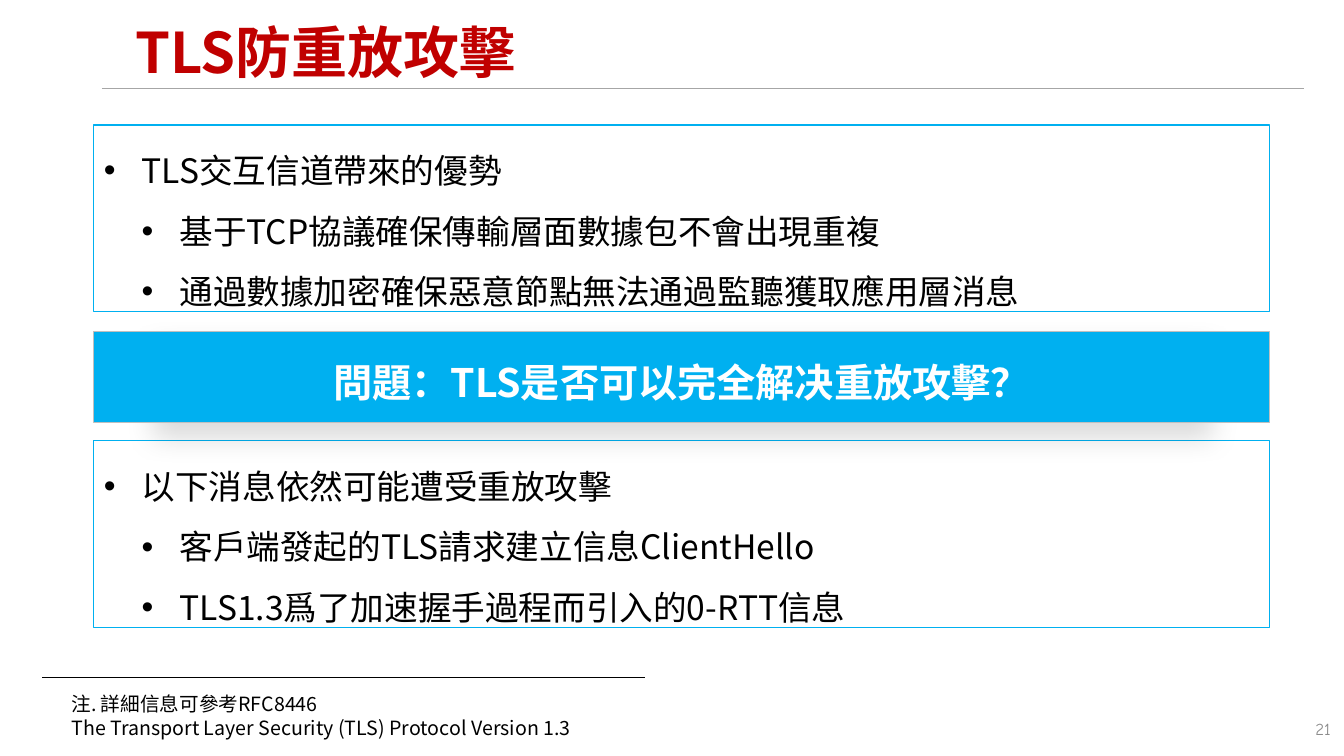
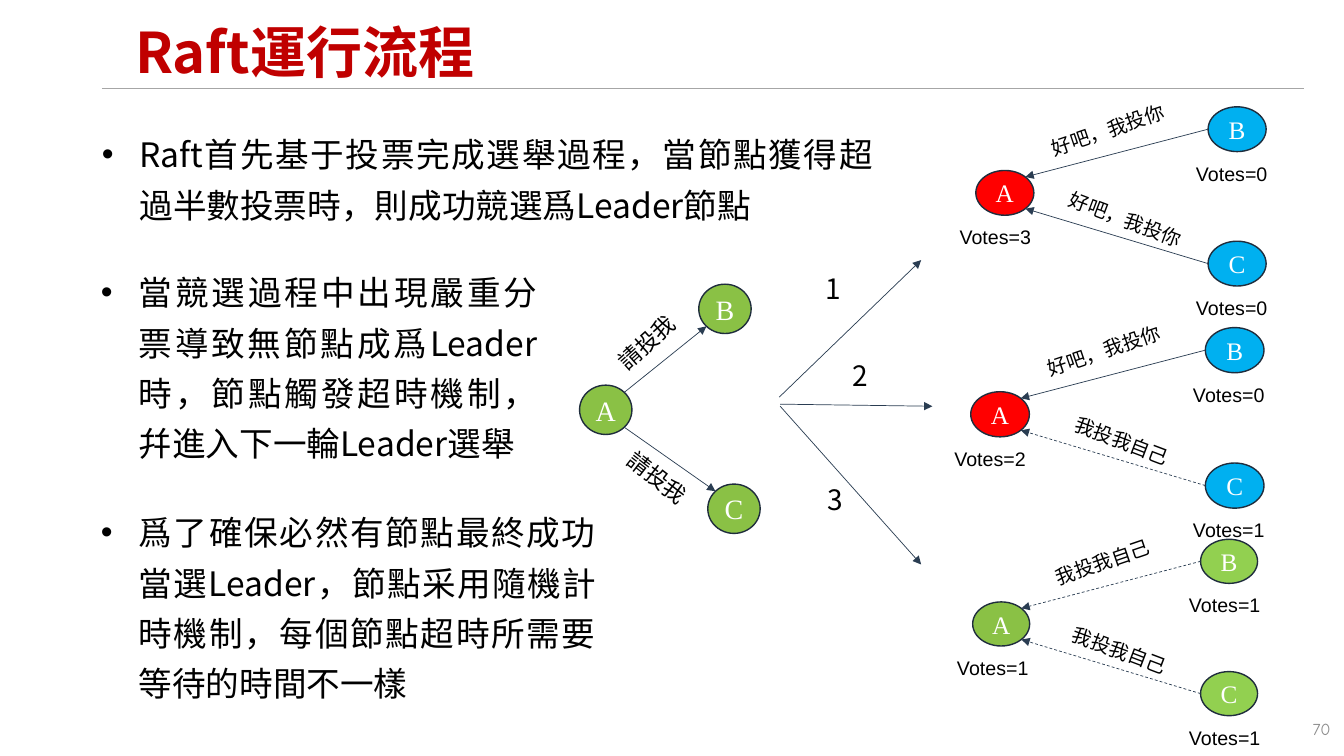
from dataclasses import dataclass

from pptx import Presentation
from pptx.dml.color import RGBColor as Rgb
from pptx.enum.dml import MSO_LINE as Dash
from pptx.enum.shapes import MSO_CONNECTOR as Conn, MSO_SHAPE as Kind
from pptx.enum.text import MSO_ANCHOR as Anchor, MSO_AUTO_SIZE as Fit, PP_ALIGN as Align
from pptx.oxml.ns import qn
from pptx.oxml.xmlchemy import OxmlElement as Node
from pptx.util import Pt


@dataclass(frozen=True)
class Theme:
    # Fonts
    sans: str = "Noto Sans CJK SC"
    serif: str = "Times New Roman"
    plain: str = "Arial"
    page: str = "Comic Neue"
    # Colours
    red: str = "C00000"
    black: str = "000000"
    white: str = "FFFFFF"
    blue: str = "00B0F0"
    green: str = "8AC145"
    lime: str = "92D050"
    lead: str = "FF0000"
    rim: str = "1F2D3D"
    arrow: str = "2A3D52"
    rule: str = "A6A6A6"
    edge: str = "BFBFBF"
    grey: str = "8C8C8C"
    # Type sizes
    title: int = 40
    ask: int = 28
    body: int = 24
    big: int = 20
    mid: int = 18
    call: int = 16
    note: int = 14
    foot: int = 12


T = Theme()
NEAR, FAR = 0.146, 0.854  # diagonal points of an ellipse, as shares of its box


# ---- Helpers ----
def part(box, fx, fy, fw=0, fh=0):
    """Box at shares of another box."""
    x, y, w, h = box
    return x + fx * w, y + fy * h, fw * w, fh * h


def spot(box, fx, fy):
    return part(box, fx, fy)[:2]


def move(shape, box):
    shape.left, shape.top, shape.width, shape.height = map(Pt, box)


def bullet(para, left, hang=27):
    props = para._p.get_or_add_pPr()
    props.set("marL", str(Pt(left)))
    props.set("indent", str(-Pt(hang)))
    for tag, key, value in (("a:buFont", "typeface", T.plain), ("a:buChar", "char", "•")):
        mark = Node(tag)
        mark.set(key, value)
        props.append(mark)


def write(frame, text, size=T.body, font=T.sans, color=T.black, bold=False,
          align=Align.LEFT, anchor=Anchor.TOP, space=1.0, marks=None, inset=None):
    """Fill a frame; a list gives paragraphs, marks their bullet levels."""
    frame.word_wrap = True
    frame.auto_size = Fit.NONE
    frame.vertical_anchor = anchor
    if inset is not None:
        frame.margin_left = frame.margin_right = Pt(inset)
        frame.margin_top = frame.margin_bottom = Pt(inset)
    lines = [text] if isinstance(text, str) else text
    for i, line in enumerate(lines):
        para = frame.add_paragraph() if i else frame.paragraphs[0]
        if marks:
            para.level = marks[i]
            bullet(para, 27 * (marks[i] + 1))
        para.alignment = align
        para.line_spacing = space
        para.space_before = para.space_after = Pt(0)
        run = para.add_run()
        run.text = line
        run.font.size, run.font.bold = Pt(size), bold
        run.font.color.rgb = Rgb.from_string(color)
        run.font.name = font
        east = Node("a:ea")
        east.set("typeface", font)
        run._r.rPr.find(qn("a:latin")).addnext(east)


def label(slide, box, text, turn=0, **fmt):
    shape = slide.shapes.add_textbox(*map(Pt, box))
    shape.rotation = turn
    write(shape.text_frame, text, **fmt)


def block(slide, kind, box, fill, line, width, text, **fmt):
    shape = slide.shapes.add_shape(kind, *map(Pt, box))
    shape.shadow.inherit = False
    shape.fill.solid()
    shape.fill.fore_color.rgb = Rgb.from_string(fill)
    shape.line.color.rgb = Rgb.from_string(line)
    shape.line.width = Pt(width)
    write(shape.text_frame, text, color=T.white, align=Align.CENTER,
          anchor=Anchor.MIDDLE, **fmt)
    return shape


def stroke(slide, start, end, color, width=1.0, tip=False, dash=False):
    link = slide.shapes.add_connector(Conn.STRAIGHT, *map(Pt, start + end))
    link.line.color.rgb = Rgb.from_string(color)
    link.line.width = Pt(width)
    if dash:
        link.line.dash_style = Dash.DASH
    if tip:
        tail = Node("a:tailEnd")
        tail.set("type", "triangle")
        link.line._get_or_add_ln().append(tail)
    link._element.spPr.append(Node("a:effectLst"))


def arrow(slide, start, end, dash=False):
    stroke(slide, start, end, T.arrow, 0.5, tip=True, dash=dash)


# ---- Shared slide frame ----
def start(deck, layout, title, page):
    slide = deck.slides.add_slide(deck.slide_layouts[layout])
    stroke(slide, (72.7, 63.4), (931.7, 63.4), T.rule)
    move(slide.shapes.title, (89.3, 10.8, 805, 56.9))
    write(slide.shapes.title.text_frame, title, size=T.title, color=T.red,
          bold=True, anchor=Anchor.MIDDLE, space=0.9)
    label(slide, (733.7, 509.8, 223.9, 28.8), page, size=T.foot, font=T.page,
          color=T.grey, align=Align.RIGHT)
    return slide


def points(slide, idx, box, lines, marks, space, frame=False):
    """Bulleted list in a body placeholder."""
    body = slide.placeholders[idx]
    move(body, box)
    if frame:
        body.line.color.rgb = Rgb.from_string(T.blue)
        body.line.width = Pt(0.75)
    write(body.text_frame, lines, align=Align.JUSTIFY, marks=marks, space=space)


def prune(slide):
    for hold in list(slide.placeholders):
        if not hold.text_frame.text:
            hold._element.getparent().remove(hold._element)


# ---- TLS slide ----
def banner(slide, box, text):
    bar = block(slide, Kind.RECTANGLE, box, T.blue, T.edge, 0.5, text,
                size=T.ask, bold=True, space=1.2)
    cast = Node("a:outerShdw")
    for key, value in (("blurRad", Pt(20)), ("dist", Pt(10)), ("dir", 5400000),
                       ("sx", 90000), ("algn", "ctr"), ("rotWithShape", 0)):
        cast.set(key, str(value))
    tint, alpha = Node("a:srgbClr"), Node("a:alpha")
    tint.set("val", T.black)
    alpha.set("val", "15000")
    tint.append(alpha)
    cast.append(tint)
    bar._element.spPr.find(qn("a:effectLst")).append(cast)


def source(slide, box, lines):
    x, y, w, h = box
    stroke(slide, (x, y), (x + w, y), T.black)
    label(slide, (x + 13.7, y + 7.2, w, h), lines, size=T.note, align=Align.JUSTIFY)


def replay(deck):
    slide = start(deck, 3, "TLS防重放攻擊", "21")
    lists = (
        (89.3, ["TLS交互信道帶來的優勢",
                "基于TCP協議確保傳輸層面數據包不會出現重複",
                "通過數據加密確保惡意節點無法通過監聽獲取應用層消息"]),
        (314.8, ["以下消息依然可能遭受重放攻擊",
                 "客戶端發起的TLS請求建立信息ClientHello",
                 "TLS1.3爲了加速握手過程而引入的0-RTT信息"]),
    )
    for idx, (top, lines) in enumerate(lists, 1):
        points(slide, idx, (67, top, 839.5, 133.2), lines, (0, 1, 1), 1.5, frame=True)
    banner(slide, (67, 236.9, 839.5, 64.8), "問題：TLS是否可以完全解决重放攻擊？")
    source(slide, (30.2, 483.8, 430.6, 41),
           ["注. 詳細信息可參考RFC8446",
            "The Transport Layer Security (TLS) Protocol Version 1.3"])


# ---- Raft slide ----
def voter(slide, box, name, fill, size):
    block(slide, Kind.OVAL, box, fill, T.rim, 1, name, size=size,
          font=T.serif, inset=0)


def appeal(slide, box):
    """Node A asks B and C for their votes."""
    a, b, c = (part(box, fx, fy, 0.29, 0.198)
               for fx, fy in ((0, 0.405), (0.66, 0), (0.71, 0.802)))
    for name, cell in zip("ABC", (a, b, c)):
        voter(slide, cell, name, T.green, T.big)
    arrow(slide, spot(a, FAR, NEAR), spot(b, NEAR, FAR))
    arrow(slide, spot(a, FAR, FAR), spot(c, NEAR, NEAR))
    for fx, fy, turn in ((0.1, 0.158, 318.1), (0.156, 0.7, 37.9)):
        label(slide, part(box, fx, fy, 0.547, 0.154), "請投我", turn,
              size=T.call, align=Align.CENTER)


def result(slide, box, fills, votes, yes):
    """Replies of B and C to A; yes tells who votes for A."""
    a, b, c = (part(box, fx, fy, 0.2, 0.25)
               for fx, fy in ((0, 0.355), (0.8, 0), (0.8, 0.75)))
    shifts = (-0.45, -0.38, -0.38)
    tints = (fills[0], fills[1], fills[1])
    for name, cell, tint, count, shift in zip("ABC", (a, b, c), tints, votes, shifts):
        voter(slide, cell, name, tint, T.mid)
        label(slide, part(cell, shift, 1.11, 1.75, 0.78), f"Votes={count}",
              size=T.note, font=T.plain)
    replies = ((b, NEAR, 0.156, 0.034, 341.2), (c, FAR, 0.215, 0.534, 20.7))
    for (cell, end, fx, fy, turn), agree in zip(replies, yes):
        arrow(slide, spot(cell, 0, 0.5), spot(a, FAR, end), dash=not agree)
        label(slide, part(box, fx, fy, 0.6, 0.197),
              "好吧，我投你" if agree else "我投我自己", turn,
              size=T.note, align=Align.CENTER)


def fork(slide):
    """Numbered arrows to the three outcomes."""
    ways = (
        ((556.6, 283.7), (658, 185.8), (582.5, 190.1)),
        ((557.3, 288.7), (666, 290.2), (601.9, 252.7)),
        ((557.3, 290.2), (658, 403.2), (583.9, 341.3)),
    )
    for num, (tail, head, at) in enumerate(ways, 1):
        arrow(slide, tail, head)
        label(slide, at + (29.5, 32.4), str(num), size=T.big)


def raft(deck):
    slide = start(deck, 4, "Raft運行流程", "70")
    lists = (
        ((65.5, 85, 565.2, 76.3),
         "Raft首先基于投票完成選舉過程，當節點獲得超過半數投票時，則成功競選爲Leader節點"),
        ((64.8, 183.6, 326.2, 149),
         "當競選過程中出現嚴重分票導致無節點成爲Leader時，節點觸發超時機制，幷進入下一輪Leader選舉"),
        ((64.8, 355, 367.9, 149),
         "爲了確保必然有節點最終成功當選Leader，節點采用隨機計時機制，每個節點超時所需要等待的時間不一樣"),
    )
    for idx, (box, text) in enumerate(lists, 1):
        points(slide, idx, box, [text], (0,), Pt(36))
    prune(slide)
    appeal(slide, (414, 203, 129, 178))
    fork(slide)
    panels = (
        ((697, 76.3, 207.4, 128), (T.lead, T.blue), (3, 0, 0), (True, True)),
        ((693.4, 234, 209.5, 129), (T.lead, T.blue), (2, 0, 1), (True, False)),
        ((694.8, 385.2, 203.5, 126), (T.green, T.lime), (1, 1, 1), (False, False)),
    )
    for panel in panels:
        result(slide, *panel)


def main():
    deck = Presentation()
    deck.slide_width, deck.slide_height = Pt(960), Pt(540)
    replay(deck)
    raft(deck)
    deck.save("out.pptx")


if __name__ == "__main__":
    main()
